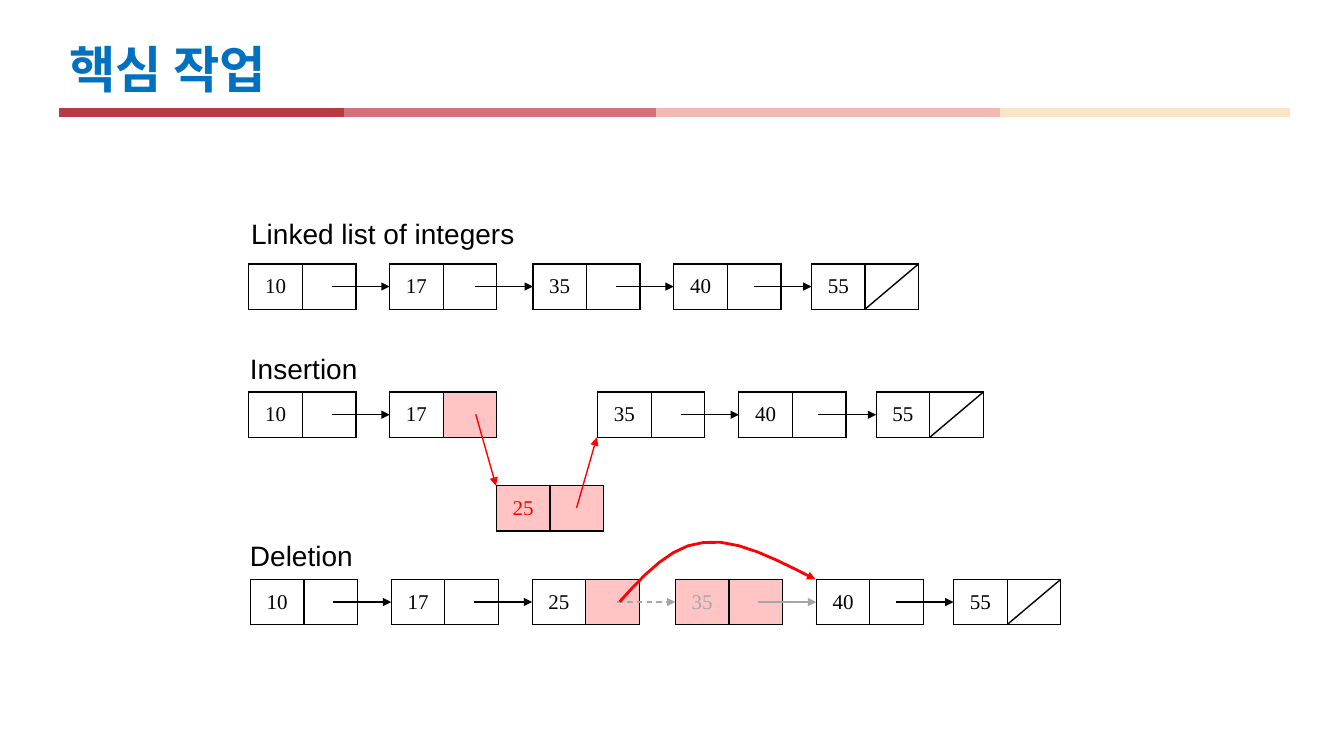
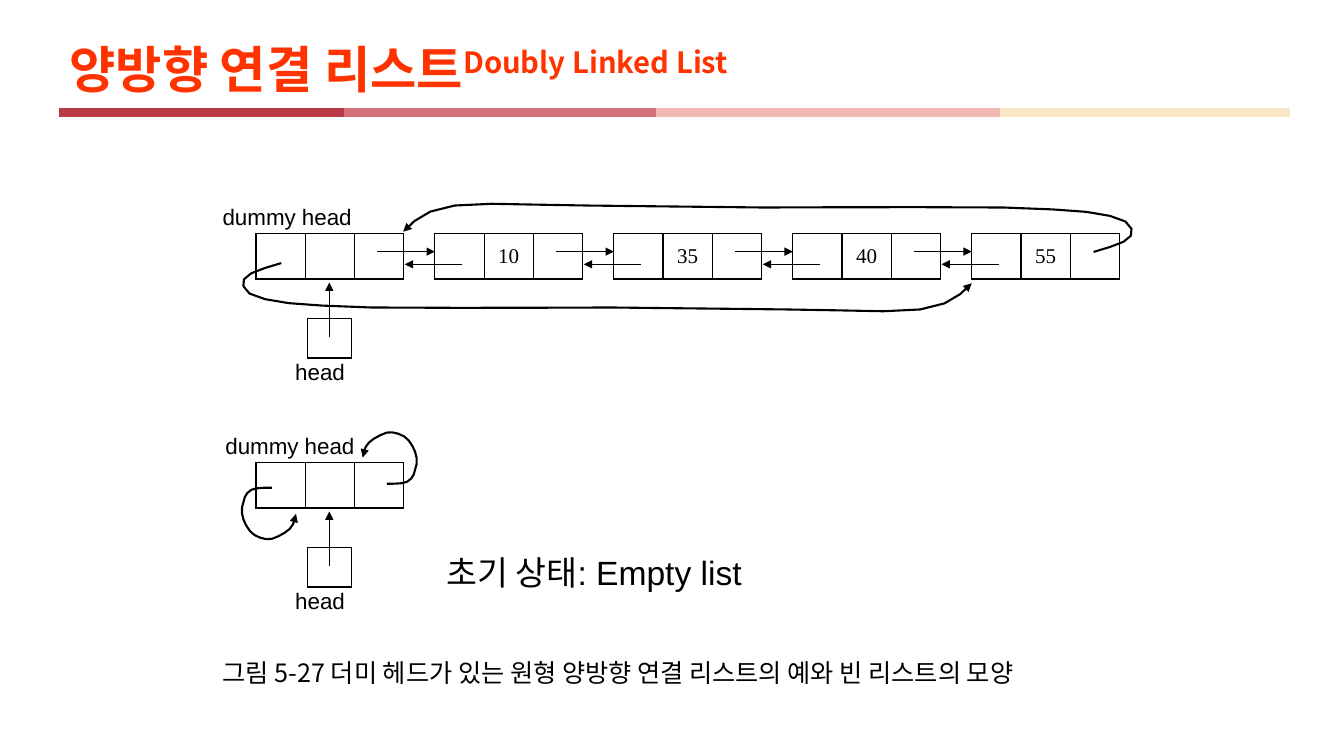
"""Build two slides on linked lists: key operations and the doubly linked list."""
from itertools import pairwise

from lxml.etree import SubElement as Sub
from pptx import Presentation
from pptx.dml.color import RGBColor as Rgb
from pptx.enum.dml import MSO_LINE as Dash
from pptx.enum.shapes import MSO_CONNECTOR as Conn
from pptx.enum.text import MSO_ANCHOR as Anchor, MSO_AUTO_SIZE as Auto, PP_ALIGN as Align
from pptx.oxml import parse_xml
from pptx.oxml.ns import nsdecls, qn
from pptx.util import Cm, Pt

BLACK = Rgb(0x00, 0x00, 0x00)
RED = Rgb(0xFF, 0x00, 0x00)
GREY = Rgb(0xA6, 0xA6, 0xA6)
PINK = Rgb(0xFF, 0xC5, 0xC5)
BLUE = Rgb(0x00, 0x70, 0xC0)
ORANGE = Rgb(0xFF, 0x33, 0x00)
BAND = (Rgb(0xB9, 0x39, 0x45), Rgb(0xD3, 0x70, 0x79),
        Rgb(0xF2, 0xB8, 0xB4), Rgb(0xF8, 0xE6, 0xC7))
EDGES = (1.49, 8.66, 16.54, 25.2, 32.51)

SANS = "Arial"
SERIF = "Times New Roman"
KOREAN = "Noto Sans CJK KR"

HIGH = 1.14
HALF = 1.35
THIRD = 1.24
REACH = 1.46
STEP = 4.51

RING = [(7.09, 6.63), (6.65, 6.76), (6.22, 6.88), (6.15, 7.04),
        (6.07, 7.19), (6.15, 7.44), (6.68, 7.54),
        (7.21, 7.67), (7.87, 7.7), (9.35, 7.75),
        (10.8, 7.77), (15.39, 7.75), (15.39, 7.75),
        (16.87, 7.77), (18.36, 7.78), (19.84, 7.8),
        (21.13, 7.8), (22.4, 7.9), (23.19, 7.8),
        (23.95, 7.7), (24.21, 7.42), (24.49, 7.14)]
LOOP = [(9.75, 12.19), (9.96, 12.19), (10.16, 12.19), (10.26, 12.14),
        (10.39, 12.07), (10.44, 11.96), (10.46, 11.84),
        (10.52, 11.71), (10.52, 11.53), (10.46, 11.38),
        (10.41, 11.25), (10.31, 11.07), (10.19, 11),
        (10.06, 10.92), (9.88, 10.87), (9.75, 10.9),
        (9.6, 10.95), (9.4, 11.05), (9.3, 11.15),
        (9.19, 11.25), (9.17, 11.4), (9.14, 11.53)]
SKIP = [(15.62, 15.16), (16.26, 14.45), (16.92, 13.74), (17.73, 13.67),
        (18.57, 13.56), (19.56, 14.1), (20.55, 14.6)]


def add_run(para, text, size, font, color, bold=False, base=0):
    """Add one styled run to a paragraph."""
    run = para.add_run()
    run.text = text
    run.font.size, run.font.name, run.font.bold = Pt(size), font, bold
    run.font.color.rgb = color
    props = run.font._element
    props.set("kern", "0")
    Sub(props, qn("a:ea")).set("typeface", KOREAN)
    if base:
        props.set("baseline", str(base * 1000))


def add_label(slide, text, x, y, w, h, size, font=SANS, wrap=False):
    """Add a plain black text box."""
    frame = slide.shapes.add_textbox(Cm(x), Cm(y), Cm(w), Cm(h)).text_frame
    frame.word_wrap = wrap
    frame.auto_size = Auto.SHAPE_TO_FIT_TEXT
    add_run(frame.paragraphs[0], text, size, font, BLACK)


def add_head(shape):
    """Put a triangle at the end of a line that has been styled."""
    Sub(shape._element.spPr.find(qn("a:ln")), qn("a:tailEnd")).set("type", "triangle")


def add_line(slide, start, end, color=BLACK, width=1, head=True, dash=False):
    """Add a straight line or arrow."""
    ends = [Cm(v) for v in (*start, *end)]
    line = slide.shapes.add_connector(Conn.STRAIGHT, *ends)
    line.line.color.rgb = color
    line.line.width = Pt(width)
    if dash:
        line.line.dash_style = Dash.DASH
    if head:
        add_head(line)
    Sub(line._element.spPr, qn("a:effectLst"))


def trace(points, count):
    """Return points along a chain of cubic curves."""
    path = []
    for i in range(0, len(points) - 1, 3):
        for k in range(1, count + 1):
            t = k / count
            parts = ((1 - t) ** 3, 3 * t * (1 - t) ** 2, 3 * t * t * (1 - t), t ** 3)
            path.append(tuple(Cm(sum(p * q for p, q in zip(parts, axis)))
                              for axis in zip(*points[i:i + 4])))
    return path


def add_curve(slide, points, color=BLACK, width=1.5, count=3):
    """Add a curved arrow."""
    x, y = points[0]
    pen = slide.shapes.build_freeform(Cm(x), Cm(y))
    pen.add_line_segments(trace(points, count), close=False)
    curve = pen.convert_to_shape()
    curve.shadow.inherit = False
    curve.fill.background()
    curve.line.color.rgb = color
    curve.line.width = Pt(width)
    add_head(curve)


def turn(points, x, y):
    """Turn points by a half circle, given twice the centre."""
    return [(x - a, y - b) for a, b in points]


def add_cells(slide, x, y, texts, wide, high=HIGH, fills=None, color=BLACK):
    """Add a one-row table as a list node."""
    size = len(texts)
    grid = slide.shapes.add_table(1, size, Cm(x), Cm(y), Cm(wide * size), Cm(high)).table
    grid.first_row = grid.horz_banding = False
    for cell, text, fill in zip(grid.iter_cells(), texts, fills or [None] * size):
        cell.margin_left = cell.margin_right = Cm(0.18)
        cell.margin_top = cell.margin_bottom = Cm(0.1)
        cell.vertical_anchor = Anchor.MIDDLE
        if fill:
            cell.fill.solid()
            cell.fill.fore_color.rgb = fill
        else:
            cell.fill.background()
        for i, side in enumerate("LRTB"):
            cell._tc.get_or_add_tcPr().insert(i, parse_xml(
                f'<a:ln{side} w="12700" {nsdecls("a")}><a:solidFill>'
                f'<a:srgbClr val="{BLACK}"/></a:solidFill></a:ln{side}>'))
        if text:
            para = cell.text_frame.paragraphs[0]
            para.alignment = Align.CENTER
            add_run(para, text, 15, SERIF, color)


def add_node(slide, x, y, text, fills=None, color=BLACK):
    """Add a node with a value and one link."""
    add_cells(slide, x, y, (text, ""), HALF, fills=fills, color=color)


def add_next(slide, x, y, color=BLACK, dash=False):
    """Add the arrow that reaches the node at x."""
    mid = y + HIGH / 2
    add_line(slide, (x - REACH, mid), (x, mid), color, dash=dash)


def add_slash(slide, x, y):
    """Strike out the link of the last node."""
    add_line(slide, (x + 2 * HALF, y), (x + HALF, y + HIGH), head=False)


def add_slide(deck, color, text, small=""):
    """Add a slide with its title and colour band."""
    slide = deck.slides.add_slide(deck.slide_layouts[6])
    for (x, end), tint in zip(pairwise(EDGES), BAND):
        add_line(slide, (x, 2.84), (end, 2.84), tint, 6, head=False)
    frame = slide.shapes.add_textbox(Cm(1.5), Cm(0.81), Cm(30.91), Cm(2.01)).text_frame
    frame.word_wrap = True
    frame.vertical_anchor = Anchor.MIDDLE
    para = frame.paragraphs[0]
    para.line_spacing = 0.9
    add_run(para, text, 36, KOREAN, color, bold=True)
    if small:
        add_run(para, small, 36, KOREAN, color, bold=True, base=30)
    return slide


def add_tasks(deck):
    """Show a list, an insertion and a deletion."""
    slide = add_slide(deck, BLUE, "핵심 작업")
    link = (None, PINK)
    both = (PINK, PINK)
    rows = (
        ("Linked list of integers", 6.08, 5.33, 7.21, 6.65,
         ((6.27, "10"), (9.82, "17"), (13.43, "35"), (16.98, "40"), (20.45, "55"))),
        ("Insertion", 6.05, 8.73, 3.25, 9.88,
         ((6.27, "10"), (9.82, "17", link), (15.06, "35"), (18.62, "40"), (22.08, "55"))),
        ("Deletion", 6.05, 13.44, 3.25, 14.6,
         ((6.31, "10"), (9.86, "17"), (13.41, "25", link), (17.02, "35", both, GREY),
          (20.57, "40"), (24.03, "55"))),
    )
    for name, x, top, wide, y, nodes in rows:
        add_label(slide, name, x, top, wide, 1.12, 20)
        for left, *node in nodes:
            add_node(slide, left, y, *node)
        for last, node in pairwise(nodes):
            if name == "Insertion" and last[1] == "17":
                continue
            gone = "35" in (last[1], node[1]) and name == "Deletion"
            add_next(slide, node[0], y, GREY if gone else BLACK, gone and last[1] == "25")
        add_slash(slide, nodes[-1][0], y)
    add_node(slide, 12.51, 12.24, "25", both, RED)
    add_line(slide, (11.99, 10.44), (12.5, 12.24), RED)
    add_line(slide, (14.53, 12.8), (15.04, 11.02), RED)
    add_curve(slide, SKIP, RED, 2, 6)


def add_dummy(slide, x, y):
    """Add the dummy node with its label and head pointer."""
    add_cells(slide, 6.45, y, ("", "", ""), THIRD)
    add_cells(slide, 7.74, y + 2.13, ("",), 1.12, 1)
    add_line(slide, (8.3, y + 2.61), (8.3, y + 1.23))
    add_label(slide, "dummy head", x, y - 0.89, 3.81, 0.94, 16)
    add_label(slide, "head", 7.19, y + 3, 1.78, 0.94, 16)


def add_double(deck):
    """Show a full and an empty doubly linked list."""
    slide = add_slide(deck, ORANGE, "양방향 연결 리스트", "Doubly Linked List")
    y = 5.89
    add_dummy(slide, 5.36, y)
    for i, text in enumerate(("10", "35", "40", "55"), 1):
        x = 6.45 + i * STEP
        add_cells(slide, x, y, ("", text, ""), THIRD)
        add_line(slide, (x - REACH, y + 0.45), (x, y + 0.45))
        add_line(slide, (x + 0.69, y + 0.77), (x - 0.76, y + 0.77))
    add_curve(slide, RING)
    add_curve(slide, turn(RING, 34.65, 12.98))
    add_dummy(slide, 5.43, 11.66)
    add_curve(slide, LOOP)
    add_curve(slide, turn(LOOP, 16.6, 24.48))
    add_label(slide, "초기 상태: Empty list", 11, 13.79, 8.36, 1.3, 24)
    add_label(slide, "그림 5-27 더미 헤드가 있는 원형 양방향 연결 리스트의 예와 빈 리스트의 모양",
              5.36, 16.43, 25.37, 1.02, 18, KOREAN, True)


def main():
    """Build and save the deck."""
    deck = Presentation()
    deck.slide_width, deck.slide_height = Cm(33.87), Cm(19.05)
    add_tasks(deck)
    add_double(deck)
    deck.save("out.pptx")


if __name__ == "__main__":
    main()
